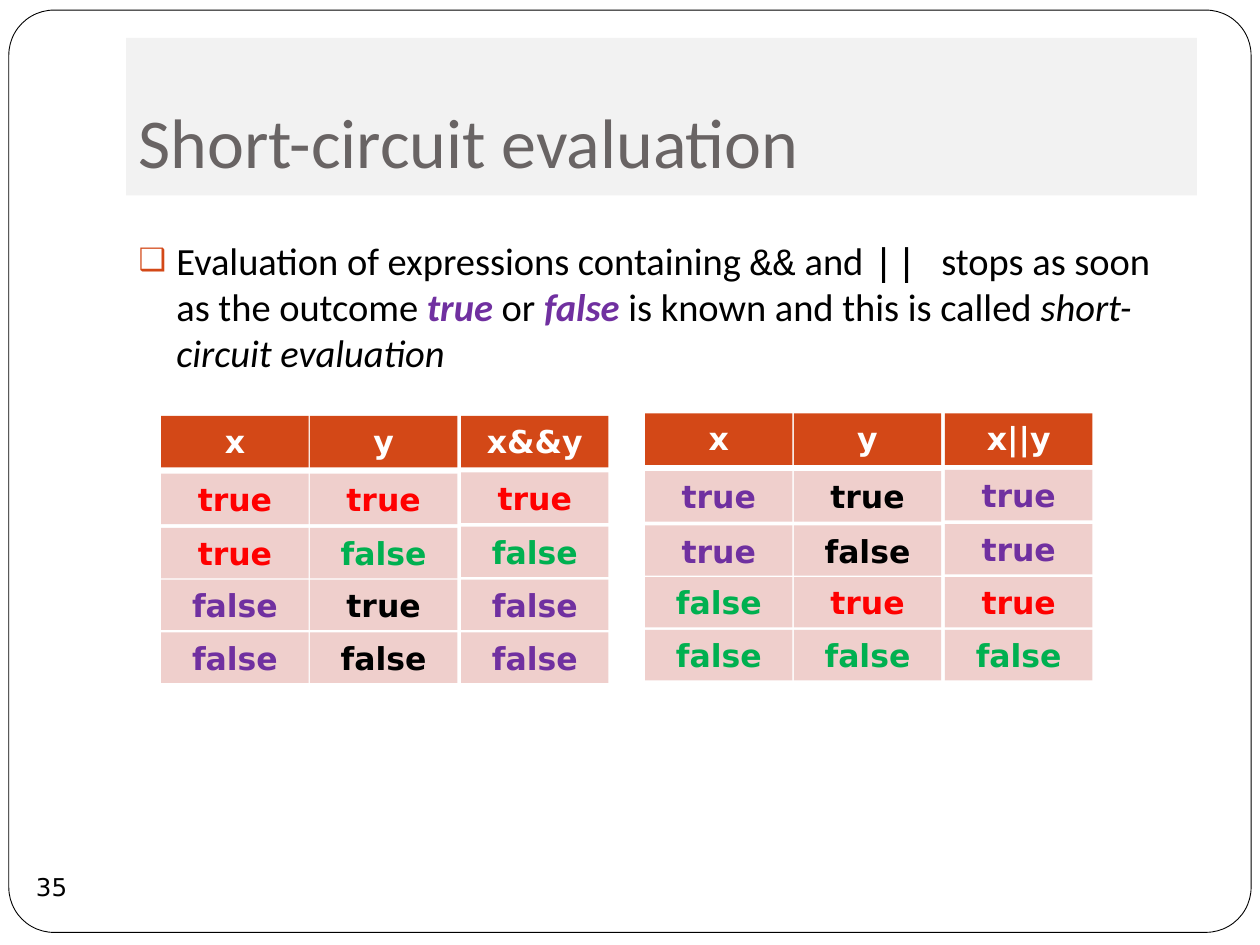
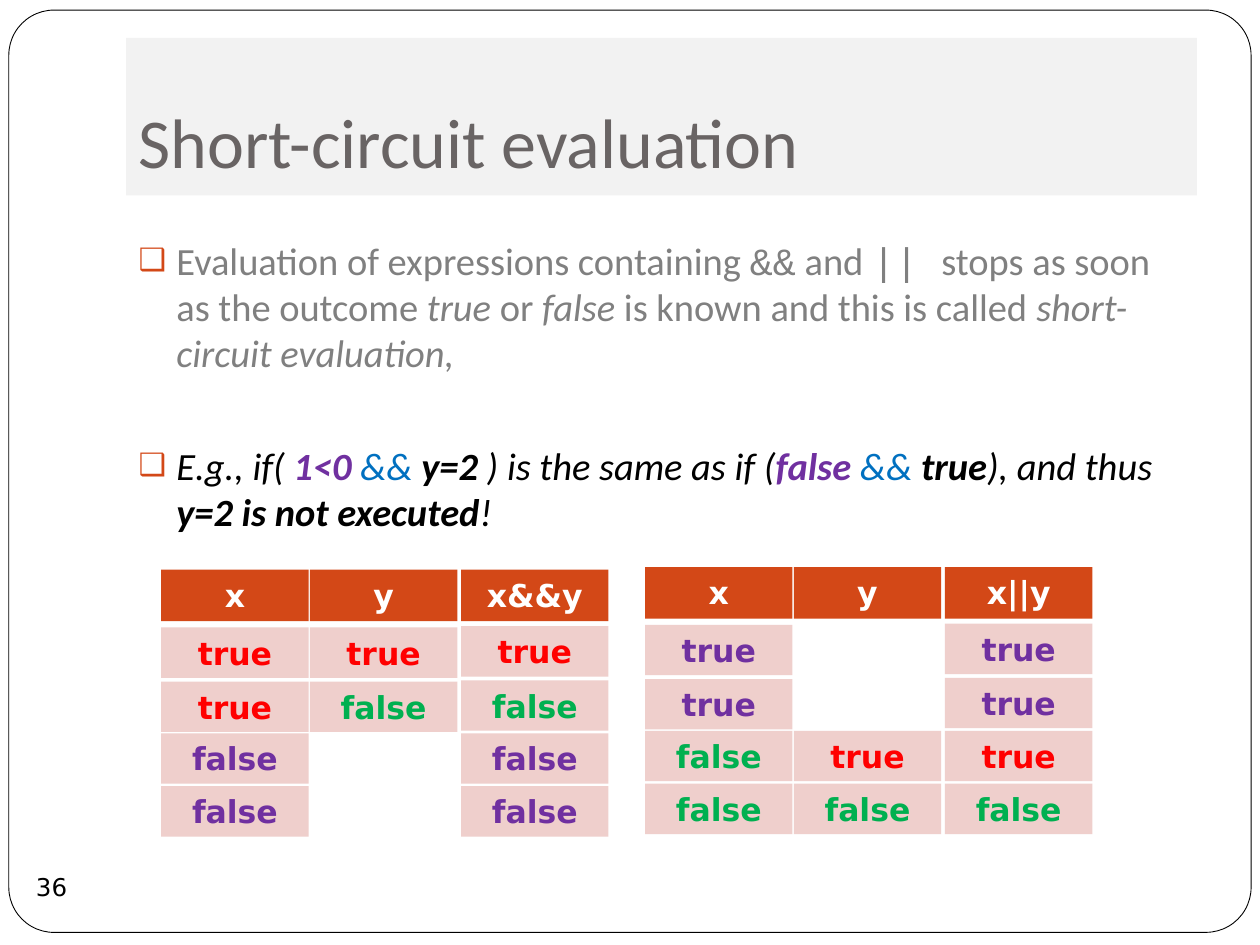
from lxml import etree
from pptx import Presentation
from pptx.dml.color import RGBColor
from pptx.enum.shapes import MSO_SHAPE as Shape
from pptx.enum.text import MSO_ANCHOR as Anchor, MSO_AUTO_SIZE as AutoSize, PP_ALIGN as Align
from pptx.oxml.ns import qn
from pptx.util import Inches, Pt

# Shared style
WHITE, BLACK, GRAY = "FFFFFF", "000000", "808080"
BAND, TITLE, ORANGE, PINK = "F2F2F2", "696464", "D34817", "EFCFCC"
RED, GREEN, PURPLE, BLUE = "FF0000", "00B050", "7030A0", "0070C0"
SANS, CODE, LABEL = "Calibri", "Courier New", "DejaVu Sans"

# Truth table grid, measured from the table's corner
COLUMN_OFFSETS = (0, 1.18, 2.38)
ROW_OFFSETS = (0, 0.46, 0.89, 1.3, 1.72)
CELL_WIDTH, CELL_HEIGHT, HEADER_HEIGHT = 1.17, 0.4, 0.41
SKIPPED = BLACK  # operands that are never evaluated

AND_TABLE = ("x&&y", (
    (("true", RED), ("true", RED), ("true", RED)),
    (("true", RED), ("false", GREEN), ("false", GREEN)),
    (("false", PURPLE), ("true", SKIPPED), ("false", PURPLE)),
    (("false", PURPLE), ("false", SKIPPED), ("false", PURPLE)),
))
OR_TABLE = ("x||y", (
    (("true", PURPLE), ("true", SKIPPED), ("true", PURPLE)),
    (("true", PURPLE), ("false", SKIPPED), ("true", PURPLE)),
    (("false", GREEN), ("true", RED), ("true", RED)),
    (("false", GREEN), ("false", GREEN), ("false", GREEN)),
))


def color(value):
    return RGBColor.from_string(value)


def write(para, text, font=SANS, size=22, ink=BLACK, bold=False, italic=False):
    span = para.add_run()
    span.text = text
    span.font.name = font
    span.font.size = Pt(size)
    span.font.color.rgb = color(ink)
    span.font.bold = bold
    span.font.italic = italic


def place(box, left, top, width, height):
    box.left, box.top = Inches(left), Inches(top)
    box.width, box.height = Inches(width), Inches(height)


def set_insets(frame, left, top, right, bottom):
    frame.margin_left, frame.margin_top = Inches(left), Inches(top)
    frame.margin_right, frame.margin_bottom = Inches(right), Inches(bottom)


def add_bullet(para):
    props = para._p.get_or_add_pPr()
    props.set("marL", str(Inches(0.3)))
    props.set("indent", str(Inches(-0.3)))
    ink = etree.SubElement(props, qn("a:buClr"))
    etree.SubElement(ink, qn("a:srgbClr"), val=ORANGE)
    etree.SubElement(props, qn("a:buSzPct"), val="80000")
    etree.SubElement(props, qn("a:buChar"), char="❑")


class Slides:
    def __init__(self):
        self.deck = Presentation()
        self.deck.slide_width, self.deck.slide_height = Inches(10), Inches(7.5)
        self.page = None

    def start(self, title, number):
        self.page = self.deck.slides.add_slide(self.deck.slide_layouts[1])
        # Rounded frame behind everything
        frame = self.shape(Shape.ROUNDED_RECTANGLE, 0.07, 0.08, 9.86, 7.32, fill=WHITE, line=BLACK)
        frame.adjustments[0] = 0.049
        self.page.shapes._spTree.insert(2, frame._element)
        self.title(title)
        self.number(number)

    def shape(self, kind, left, top, width, height, fill=None, line=None):
        box = self.page.shapes.add_shape(
            kind, Inches(left), Inches(top), Inches(width), Inches(height))
        box.shadow.inherit = False
        if fill:
            box.fill.solid()
            box.fill.fore_color.rgb = color(fill)
        else:
            box.fill.background()
        if line:
            box.line.color.rgb = color(line)
            box.line.width = Pt(0.5)
        else:
            box.line.fill.background()
        return box

    def title(self, text):
        box = self.page.shapes.title
        place(box, 1, 0.3, 8.5, 1.25)
        box.fill.solid()
        box.fill.fore_color.rgb = color(BAND)
        frame = box.text_frame
        frame.auto_size = AutoSize.NONE
        frame.vertical_anchor = Anchor.BOTTOM
        set_insets(frame, 0.1, 0.05, 0.1, 0.1)
        para = frame.paragraphs[0]
        para.alignment = Align.LEFT
        write(para, text, size=40, ink=TITLE)

    def number(self, value):
        box = self.shape(Shape.OVAL, 0.16, 6.79, 0.5, 0.5)
        frame = box.text_frame
        frame.word_wrap = False
        frame.vertical_anchor = Anchor.MIDDLE
        set_insets(frame, 0, 0, 0, 0)
        para = frame.paragraphs[0]
        para.alignment = Align.CENTER
        write(para, str(value), font=LABEL, size=14)

    def bullets(self, height, *items):
        """Each item is its space before and a list of (text, format) spans."""
        box = self.page.placeholders[1]
        place(box, 1, 1.83, 8.5, height)
        frame = box.text_frame
        frame.auto_size = AutoSize.NONE
        frame.vertical_anchor = Anchor.TOP
        for index, (space, spans) in enumerate(items):
            para = frame.add_paragraph() if index else frame.paragraphs[0]
            para.space_before = Pt(space)
            add_bullet(para)
            for text, style in spans:
                write(para, text, **style)

    def cell(self, left, top, height, text, fill, ink):
        box = self.shape(Shape.RECTANGLE, left, top, CELL_WIDTH, height, fill=fill)
        frame = box.text_frame
        frame.vertical_anchor = Anchor.TOP
        para = frame.paragraphs[0]
        para.alignment = Align.CENTER
        write(para, text, font=LABEL, size=18, ink=ink, bold=True)

    def truth_table(self, left, top, table, show_skipped):
        result, rows = table
        for offset, name in zip(COLUMN_OFFSETS, ("x", "y", result)):
            self.cell(left + offset, top, HEADER_HEIGHT, name, ORANGE, WHITE)
        for row, values in enumerate(rows, start=1):
            for column, (text, ink) in enumerate(values):
                if ink == SKIPPED and not show_skipped:
                    continue
                # The first two results sit slightly higher than their row
                lift = 0.01 if column == 2 and row <= 2 else 0
                self.cell(left + COLUMN_OFFSETS[column], top + ROW_OFFSETS[row] - lift,
                          CELL_HEIGHT, text, PINK, ink)

    def truth_tables(self, top, show_skipped=True):
        self.truth_table(1.28, top, AND_TABLE, show_skipped)
        self.truth_table(5.12, top - 0.02, OR_TABLE, show_skipped)


def definition(ink, outcome, ending):
    plain, code = {"ink": ink}, {"ink": ink, "font": CODE}
    return [
        ("Evaluation of expressions containing ", plain), ("&&", code),
        (" and ", plain), ("|| ", code),
        ("stops as soon as the outcome ", plain), ("true ", outcome),
        ("or ", plain), ("false ", outcome),
        ("is known and this is called ", plain),
        (ending, {"ink": ink, "italic": True}),
    ]


def main():
    slides = Slides()
    heading = "Short-circuit evaluation"

    # Definition with full truth tables
    slides.start(heading, 35)
    outcome = {"ink": PURPLE, "bold": True, "italic": True}
    slides.bullets(1.25, (5.8, definition(BLACK, outcome, "short-circuit evaluation")))
    slides.truth_tables(3.3)

    # Example, with the skipped operands left out
    slides.start(heading, 36)
    plain = {"italic": True}
    strong = {"italic": True, "bold": True}
    operator = {"italic": True, "ink": BLUE}
    example = [
        ("E.g., if( ", plain), ("1<0 ", outcome), ("&& ", operator), ("y=2", strong),
        (" ) is the same as if (", plain), ("false ", outcome), ("&& ", operator),
        ("true", strong), ("), and thus ", plain),
        ("y=2 is not executed", strong), ("!", plain),
    ]
    faded = definition(GRAY, {"ink": GRAY, "italic": True}, "short-circuit evaluation,")
    slides.bullets(4.75, (5.8, faded), (38, example))
    slides.truth_tables(4.52, show_skipped=False)

    slides.deck.save("out.pptx")


if __name__ == "__main__":
    main()
